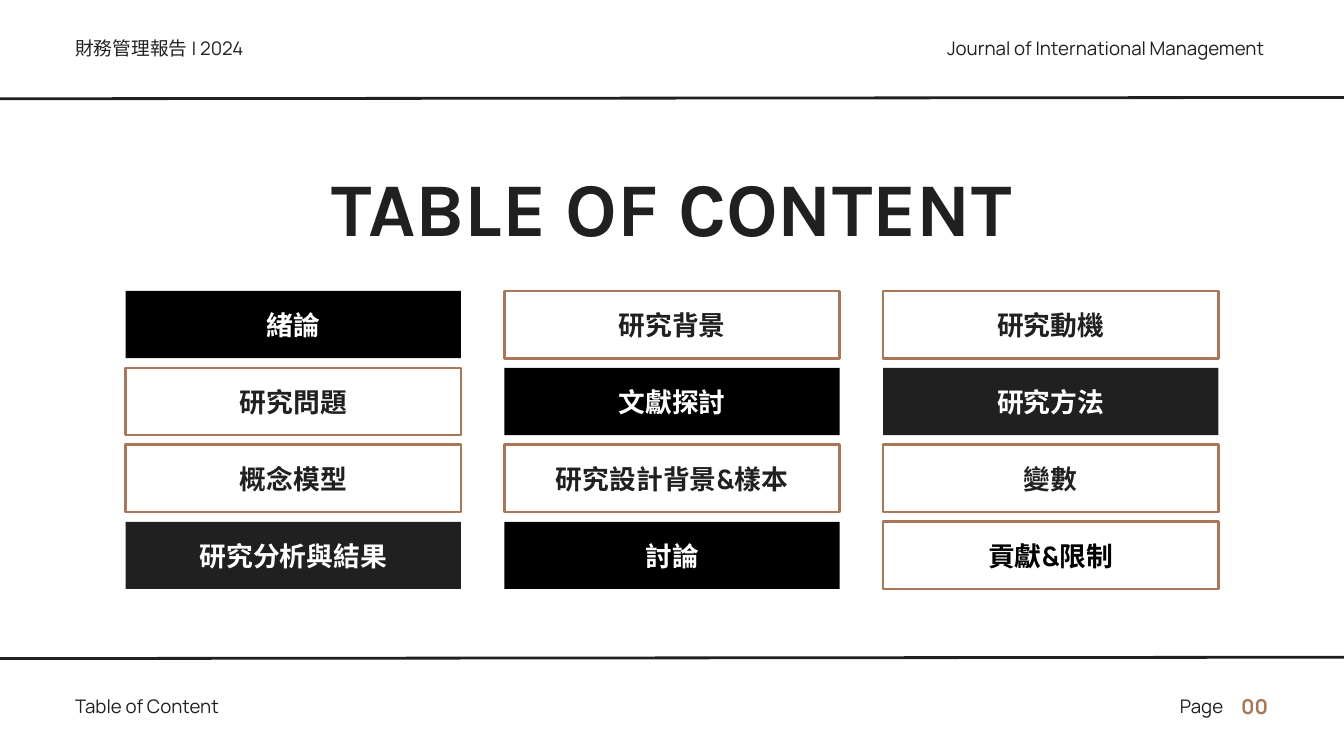
import pptx
import pptx.util
import pptx.dml.color
import pptx.enum.shapes
import pptx.enum.text
import pptx.oxml.ns
import lxml.etree

Inches = pptx.util.Inches
Pt = pptx.util.Pt
ALIGN = pptx.enum.text.PP_ALIGN

COLORS = {"black": "000000", "ink": "202020", "white": "FFFFFF", "copper": "A97658"}

# Each topic: label, fill (None means outlined), text colour
ROWS = [
    [("緒論", "black", "white"), ("研究背景", None, "ink"), ("研究動機", None, "ink")],
    [("研究問題", None, "ink"), ("文獻探討", "black", "white"), ("研究方法", "ink", "white")],
    [("概念模型", None, "ink"), ("研究設計背景&樣本", None, "ink"), ("變數", None, "ink")],
    [("研究分析與結果", "ink", "white"), ("討論", "black", "white"), ("貢獻&限制", None, "black")],
]
GRID_LEFT, GRID_TOP = 1.87, 4.33
COL_STEP, ROW_STEP = 5.635, 1.145
CELL_W, CELL_H = 4.99, 1


def rgb(name):
    return pptx.dml.color.RGBColor.from_string(COLORS[name])


def write(tf, text, size, color, align, leading, font="Manrope", bold=False):
    tf.word_wrap = True
    tf.margin_left = tf.margin_right = tf.margin_top = tf.margin_bottom = 0
    p = tf.paragraphs[0]
    p.text = text
    p.alignment = align
    p.line_spacing = Pt(leading)
    r = p.runs[0]
    r.font.name = font
    r.font.size = Pt(size)
    r.font.bold = bold
    r.font.color.rgb = rgb(color)


def add_text(s, left, top, width, height, text, size=20, color="ink",
             align=ALIGN.LEFT, leading=28, **style):
    box = s.shapes.add_textbox(Inches(left), Inches(top), Inches(width), Inches(height))
    write(box.text_frame, text, size, color, align, leading, **style)


def add_topic(s, left, top, text, fill, color):
    sp = s.shapes.add_shape(pptx.enum.shapes.MSO_SHAPE.RECTANGLE,
                            Inches(left), Inches(top), Inches(CELL_W), Inches(CELL_H))
    sp.shadow.inherit = False
    if fill:
        sp.fill.solid()
        sp.fill.fore_color.rgb = rgb(fill)
        sp.line.fill.background()
    else:
        sp.fill.background()
        sp.line.color.rgb = rgb("copper")
        sp.line.width = Pt(3)
    tf = sp.text_frame
    write(tf, text, 28.7, color, ALIGN.CENTER, 40.2, bold=True)
    tf.vertical_anchor = pptx.enum.text.MSO_ANCHOR.MIDDLE
    tf.margin_bottom = Inches(0.08)  # lifts the label slightly above centre


def add_rule(s, left_y, right_y):
    line = s.shapes.add_connector(pptx.enum.shapes.MSO_CONNECTOR.STRAIGHT,
                                  0, Inches(left_y), Inches(20), Inches(right_y))
    line.line.color.rgb = rgb("ink")
    line.line.width = Pt(3)
    lxml.etree.SubElement(line._element.spPr, pptx.oxml.ns.qn("a:effectLst"))


def main():
    prs = pptx.Presentation()
    prs.slide_width, prs.slide_height = Inches(20), Inches(11.25)
    s = prs.slides.add_slide(prs.slide_layouts[6])

    # Topic grid
    for i, row in enumerate(ROWS):
        for j, (text, fill, color) in enumerate(row):
            add_topic(s, GRID_LEFT + j * COL_STEP, GRID_TOP + i * ROW_STEP, text, fill, color)

    # Title
    add_text(s, 2.31, 2.59, 15.37, 1.2, "TABLE OF CONTENT", 81.2,
             align=ALIGN.CENTER, leading=82.8, font="Karla", bold=True)

    # Header and footer rules
    add_rule(s, 1.47, 1.45)
    add_rule(s, 9.8, 9.78)

    # Header
    add_text(s, 13.59, 0.5, 5.28, 0.4, "Journal of International Management ", align=ALIGN.RIGHT)
    add_text(s, 1.12, 0.5, 4.62, 0.4, "財務管理報告 | 2024")

    # Footer
    add_text(s, 1.12, 10.28, 3.44, 0.4, "Table of Content")
    add_text(s, 18.22, 10.27, 0.65, 0.43, "00", 22, "copper", ALIGN.RIGHT, 30.8, bold=True)
    add_text(s, 17.56, 10.28, 0.94, 0.4, "Page")

    prs.save("out.pptx")


if __name__ == "__main__":
    main()
